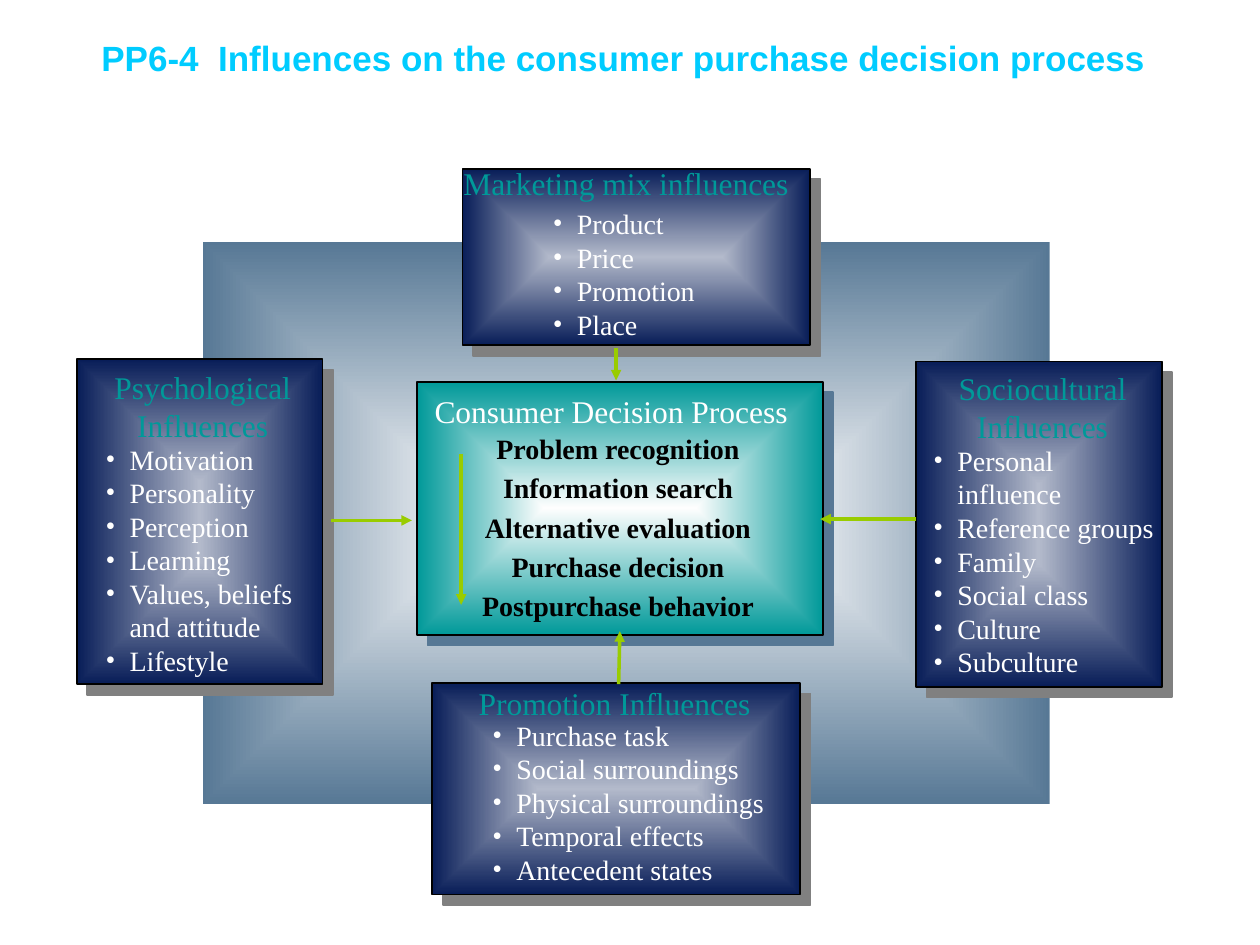
from lxml.etree import SubElement as Sub
from pptx import Presentation
from pptx.dml.color import RGBColor
from pptx.enum.shapes import MSO_CONNECTOR as Link, MSO_SHAPE as Kind
from pptx.enum.text import MSO_ANCHOR as Anchor, PP_ALIGN as Align
from pptx.oxml.ns import qn
from pptx.util import Inches, Pt

SERIF = "Times New Roman"
TEAL, WHITE, BLACK, GREEN = "009999", "FFFFFF", "000000", "99CC00"
NAVY, STEEL, GREY = "081D58", "577895", "808080"


def tint(code):
    return RGBColor.from_string(code)


def style(item, vals):
    for key, val in vals.items():
        setattr(item, key, val)


def block(slide, box, edge, core="FEFEFE", shade=None):
    """Rectangle with a glow at its centre; shade adds an outline and a shadow."""
    rect = slide.shapes.add_shape(Kind.RECTANGLE, *map(Inches, box))
    rect.fill.gradient()
    for stop, code in zip(rect.fill.gradient_stops, (core, edge)):
        stop.color.rgb = tint(code)
    grad = rect._element.spPr.find(qn("a:gradFill"))
    grad.remove(grad.find(qn("a:lin")))
    glow = Sub(grad, qn("a:path"), path="rect")
    Sub(glow, qn("a:fillToRect"), {side: "50000" for side in "ltrb"})
    if not shade:
        rect.line.fill.background()
    else:
        rect.line.color.rgb = tint(BLACK)
        rect.line.width = Pt(1)
    rect.shadow.inherit = False
    if shade:
        effect = rect._element.spPr.find(qn("a:effectLst"))
        drop = Sub(effect, qn("a:outerShdw"), dist=str(Pt(8.5)),
                   dir="2700000", algn="ctr", rotWithShape="0")
        Sub(drop, qn("a:srgbClr"), val=shade)


def write(slide, box, lines, size, code, font=SERIF, bold=False,
          dots=False, anchor=Anchor.TOP, **form):
    frame = slide.shapes.add_textbox(*map(Inches, box)).text_frame
    style(frame, {"word_wrap": True, "vertical_anchor": anchor})
    for i, line in enumerate(lines):
        para = frame.add_paragraph() if i else frame.paragraphs[0]
        para.text = line
        style(para, form)
        for run in para.runs:
            style(run.font, {"name": font, "size": Pt(size), "bold": bold})
            run.font.color.rgb = tint(code)
        if dots:
            props = para._p.get_or_add_pPr()
            props.set("marL", str(Inches(0.19)))
            props.set("indent", str(Inches(-0.19)))
            Sub(Sub(props, qn("a:buClr")), qn("a:srgbClr"), val=WHITE)
            Sub(props, qn("a:buFont"), typeface=SERIF)
            Sub(props, qn("a:buChar"), char="•")


def arrow(slide, start, end):
    line = slide.shapes.add_connector(Link.STRAIGHT, *map(Inches, start + end))
    line.line.color.rgb = tint(GREEN)
    line.line.width = Pt(2)
    props = line._element.spPr
    Sub(props.find(qn("a:ln")), qn("a:tailEnd"), type="triangle")
    Sub(props, qn("a:effectLst"))


def panel(slide, box, head, spot, items, place, align=Align.LEFT):
    """Navy panel; spot and place are heading and list boxes within it."""
    left, top = box[:2]
    block(slide, box, NAVY, "B3BACB", GREY)
    x, y, w, h = spot
    write(slide, (left + x, top + y, w, h), [head], 18, TEAL, alignment=align)
    x, y, w, h = place
    write(slide, (left + x, top + y, w, h), items, 16, WHITE, dots=True)


def centre(slide, box):
    left, top = box[:2]
    block(slide, box, TEAL, shade=STEEL)
    arrow(slide, (left + 0.35, top + 0.57), (left + 0.35, top + 1.77))
    steps = ["Problem recognition", "Information search",
             "Alternative evaluation", "Purchase decision",
             "Postpurchase behavior"]
    write(slide, (left + 0.23, top + 0.43, 2.73, 1.52), steps, 16, BLACK,
          bold=True, alignment=Align.CENTER, line_spacing=0.65,
          space_before=Pt(10))
    write(slide, (left + 0.04, top + 0.03, 3.15, 0.4),
          ["Consumer Decision Process"], 18, WHITE)


def main():
    deck = Presentation()
    style(deck, {"slide_width": Inches(10), "slide_height": Inches(7.5)})
    slide = deck.slides.add_slide(deck.slide_layouts[6])

    block(slide, (1.61, 1.92, 6.72, 4.46), STEEL)
    write(slide, (0, 0.25, 9.9, 0.42),
          ["PP6-4  Influences on the consumer purchase decision process"],
          20, "00CCFF", "Arial", True, anchor=Anchor.MIDDLE,
          alignment=Align.CENTER)
    centre(slide, (3.31, 3.03, 3.22, 2.01))

    panel(slide, (3.67, 1.34, 2.76, 1.4),
          "Marketing mix influences", (-0.09, -0.09, 2.89, 0.4),
          ["Product", "Price", "Promotion", "Place"],
          (0.62, 0.25, 1.6, 1.16))
    panel(slide, (3.43, 5.42, 2.92, 1.68),
          "Promotion Influences", (0.27, -0.04, 2.5, 0.4),
          ["Purchase task", "Social surroundings", "Physical surroundings",
           "Temporal effects", "Antecedent states"],
          (0.38, 0.23, 2.5, 1.43))
    panel(slide, (0.61, 2.85, 1.95, 2.58),
          "Psychological\vInfluences", (0.2, 0.02, 1.6, 0.7),
          ["Motivation", "Personality", "Perception", "Learning",
           "Values, beliefs\vand attitude", "Lifestyle"],
          (0.13, 0.61, 1.8, 1.96), Align.CENTER)
    panel(slide, (7.27, 2.87, 1.95, 2.58),
          "Sociocultural\vInfluences", (0.24, 0.01, 1.53, 0.7),
          ["Personal\vinfluence", "Reference groups", "Family",
           "Social class", "Culture", "Subculture"],
          (0.04, 0.6, 2.1, 1.96), Align.CENTER)

    for start, end in [((4.89, 2.76), (4.89, 3.02)),
                       ((4.91, 5.43), (4.92, 5.01)),
                       ((2.63, 4.13), (3.27, 4.13)),
                       ((7.27, 4.12), (6.51, 4.12))]:
        arrow(slide, start, end)
    deck.save("out.pptx")


if __name__ == "__main__":
    main()
